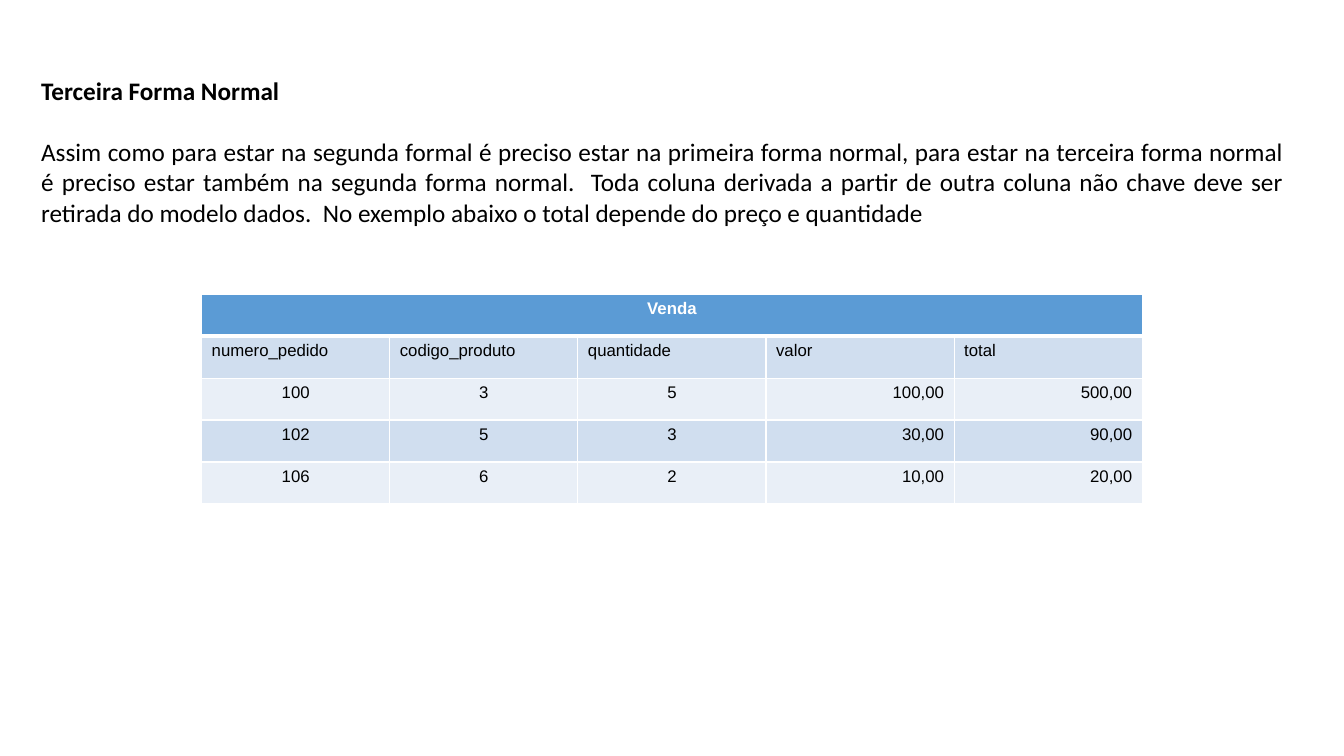
import pptx
import pptx.dml.color
import pptx.enum.text
import pptx.oxml.ns
import pptx.util
from lxml import etree

Inches = pptx.util.Inches
Pt = pptx.util.Pt
RGBColor = pptx.dml.color.RGBColor
Align = pptx.enum.text.PP_ALIGN
qn = pptx.oxml.ns.qn

HEADING = "Terceira Forma Normal"
EXPLANATION = (
    "Assim como para estar na segunda formal é preciso estar na primeira forma normal, "
    "para estar na terceira forma normal é preciso estar também na segunda forma normal.  "
    "Toda coluna derivada a partir de outra coluna não chave deve ser retirada do modelo dados.  "
    "No exemplo abaixo o total depende do preço e quantidade"
)
VENDA = [
    ["Venda", "", "", "", ""],
    ["numero_pedido", "codigo_produto", "quantidade", "valor", "total"],
    ["100", "3", "5", "100,00", "500,00"],
    ["102", "5", "3", "30,00", "90,00"],
    ["106", "6", "2", "10,00", "20,00"],
]
VALUE_ALIGN = [Align.CENTER] * 3 + [Align.RIGHT] * 2

BLACK = RGBColor(0x00, 0x00, 0x00)
WHITE = RGBColor(0xFF, 0xFF, 0xFF)
TITLE_BLUE = RGBColor(0x5B, 0x9B, 0xD5)
BANDS = [RGBColor(0xE9, 0xEF, 0xF7), RGBColor(0xD0, 0xDE, 0xEF)]


def add_text(paragraph, text, font, size, color, bold, align):
    paragraph.alignment = align
    run = paragraph.add_run()
    run.text = text
    run.font.name = font
    run.font.size = Pt(size)
    run.font.color.rgb = color
    run.font.bold = bold


def set_borders(cell, widths):
    properties = cell._tc.get_or_add_tcPr()
    for side, width in widths.items():
        line = etree.SubElement(properties, qn("a:ln" + side), w=str(Pt(width)))
        fill = etree.SubElement(line, qn("a:solidFill"))
        etree.SubElement(fill, qn("a:srgbClr"), val=str(WHITE))


def add_explanation(slide):
    box = slide.shapes.add_textbox(Inches(0.31), Inches(0.7), Inches(12.52), Inches(2.09))
    frame = box.text_frame
    frame.word_wrap = True
    add_text(frame.paragraphs[0], HEADING, "Calibri", 18, BLACK, True, Align.JUSTIFY)
    body = frame.add_paragraph()
    body.space_before = Pt(22)
    add_text(body, EXPLANATION, "Calibri", 18, BLACK, False, Align.JUSTIFY)


def add_venda(slide):
    rows, columns = len(VENDA), len(VENDA[0])
    width, height = Inches(9.33), Inches(2.08)
    venda = slide.shapes.add_table(rows, columns, Inches(2), Inches(2.92), width, height).table
    venda.cell(0, 0).merge(venda.cell(0, columns - 1))
    for r, values in enumerate(VENDA):
        is_title = r == 0
        for c, value in enumerate(values):
            cell = venda.cell(r, c)
            set_borders(cell, {"L": 1, "R": 1, "T": 3 if r == 1 else 1, "B": 3 if is_title else 1})
            cell.fill.solid()
            cell.fill.fore_color.rgb = TITLE_BLUE if is_title else BANDS[r % 2]
            if not value:
                continue
            align = Align.CENTER if is_title else Align.LEFT if r == 1 else VALUE_ALIGN[c]
            color = WHITE if is_title else BLACK
            add_text(cell.text_frame.paragraphs[0], value, "Arial", 12, color, is_title, align)


def main():
    deck = pptx.Presentation()
    deck.slide_width, deck.slide_height = Inches(13.33), Inches(7.5)
    slide = deck.slides.add_slide(deck.slide_layouts[6])
    add_explanation(slide)
    add_venda(slide)
    deck.save("out.pptx")


if __name__ == "__main__":
    main()
